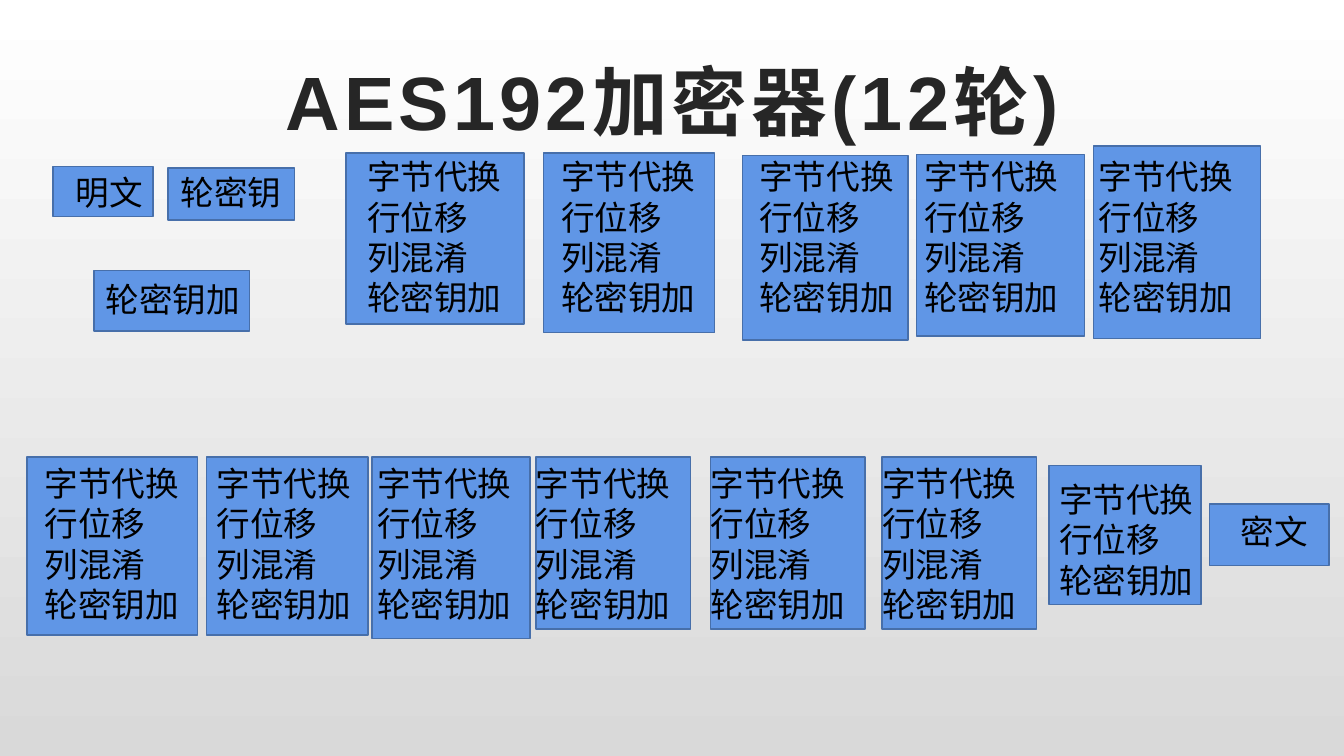
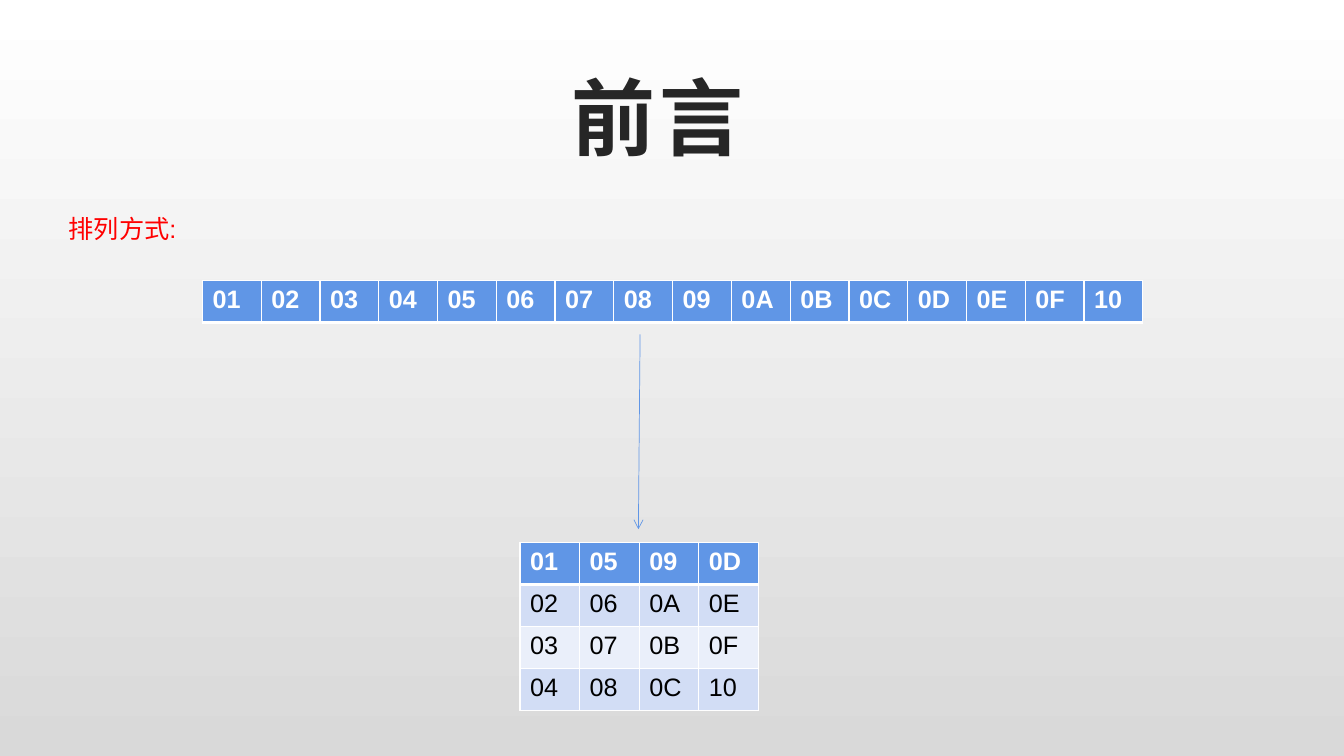
"""Build two slides on AES: the twelve rounds of AES192 and the byte order of a block."""
from dataclasses import dataclass

from lxml.etree import SubElement as Sub
from pptx import Presentation
from pptx.dml.color import RGBColor as Rgb
from pptx.enum.shapes import MSO_CONNECTOR as Link, MSO_SHAPE as Form
from pptx.enum.text import MSO_ANCHOR as Anchor, PP_ALIGN as Align
from pptx.oxml.ns import qn
from pptx.util import Inches, Pt


@dataclass(frozen=True)
class Theme:
    font: str = "Arial"
    top: str = "FFFFFF"
    base: str = "D9D9D9"
    title: str = "262626"
    ink: str = "000000"
    note: str = "FF0000"
    blue: str = "6096E6"
    edge: str = "476FAA"
    white: str = "FFFFFF"
    bands: tuple = ("EAEFFA", "D2DDF5")
    step: int = 24
    small: int = 18


look = Theme()
deck = Presentation()
deck.slide_width, deck.slide_height = Inches(13.333), Inches(7.5)
unit = deck.slide_height / 90


def span(*sizes):
    return [round(size * unit) for size in sizes]


def write(para, text, size, tint, bold=False):
    run = para.add_run()
    run.text = text
    font = run.font
    font.name, font.size, font.bold = look.font, Pt(size), bold
    font.color.rgb = Rgb.from_string(tint)
    return run


heads = [
    ("AES192加密器(12轮)", 54, (15.7, 4.9, 128.6, 13)),
    ("前言", 60, (10.3, 4.8, 136, 15.6)),
]
slides = []
for text, size, area in heads:
    slide = deck.slides.add_slide(deck.slide_layouts[6])
    fill = slide.background.fill
    fill.gradient()
    fill.gradient_angle = 270
    for stop, tint in zip(fill.gradient_stops, (look.top, look.base)):
        stop.color.rgb = Rgb.from_string(tint)
    frame = slide.shapes.add_textbox(*span(*area)).text_frame
    frame.word_wrap = True
    frame.vertical_anchor = Anchor.BOTTOM
    para = frame.paragraphs[0]
    para.alignment = Align.CENTER
    run = write(para, text, size, look.title, True)
    run._r.get_or_add_rPr().set("spc", "300")
    slides.append(slide)
rounds, order = slides

full = ("字节代换", "行位移", "列混淆", "轮密钥加")
last = ("字节代换", "行位移", "轮密钥加")
upper = [
    (41.2, 18.2, 21.2, 20.4, 43.7),
    (64.7, 18.2, 20.4, 21.4, 66.8),
    (88.4, 18.5, 19.7, 22, 90.4),
    (109.1, 18.4, 20, 21.6, 110),
    (130.2, 17.4, 19.9, 22.9, 130.8),
]
lower = [
    (3.2, 20.3, 21.2, 5.3),
    (24.6, 19.2, 21.2, 25.8),
    (44.3, 18.8, 21.6, 44.9),
    (63.8, 18.4, 20.5, 63.8),
    (84.6, 18.4, 20.5, 84.6),
    (105, 18.4, 20.5, 105),
]
boxes = [
    (6.3, 19.8, 11.9, 6, 9, 20.5, ("明文",)),
    (20, 20, 15.1, 6.2, 21.5, 20.5, ("轮密钥",)),
    (11.2, 32.2, 18.5, 7.2, 12.6, 33.2, ("轮密钥加",)),
    (124.9, 55.4, 18.1, 16.6, 126.1, 57, last),
    (144, 60, 14.2, 7.3, 147.7, 60.8, ("密文",)),
]
boxes += [(*box, 18.6, full) for box in upper]
boxes += [(x, 54.4, w, h, left, 55.1, full) for x, w, h, left in lower]

for x, y, w, h, left, top, lines in boxes:
    box = rounds.shapes.add_shape(Form.RECTANGLE, *span(x, y, w, h))
    box.shadow.inherit = False
    box.fill.solid()
    box.fill.fore_color.rgb = Rgb.from_string(look.blue)
    box.line.color.rgb = Rgb.from_string(look.edge)
    box.line.width = Pt(1)
    frame = box.text_frame
    frame.word_wrap = True
    frame.vertical_anchor = Anchor.TOP
    frame.margin_left, frame.margin_top = span(left - x, top - y)
    frame.margin_right = frame.margin_bottom = 0
    for i, line in enumerate(lines):
        para = frame.add_paragraph() if i else frame.paragraphs[0]
        para.alignment = Align.LEFT
        write(para, line, look.step, look.ink)

label = order.shapes.add_textbox(*span(7, 24.8, 53.3, 4.8)).text_frame
label.word_wrap = True
write(label.paragraphs[0], "排列方式:", look.small, look.note)

codes = [f"{n:02X}" for n in range(1, 17)]
state = [codes[i::4] for i in range(4)]
for rows, x, y, wide in (([codes], 24.1, 33.4, 7), (state, 61.9, 64.6, 7.1)):
    deep, many = len(rows), len(rows[0])
    area = span(x, y, wide * many, 5 * deep)
    table = order.shapes.add_table(deep, many, *area).table
    table.horz_banding = False
    for col in table.columns:
        col.width, = span(wide)
    for r, row in enumerate(rows):
        table.rows[r].height, = span(5)
        for c, code in enumerate(row):
            cell = table.cell(r, c)
            props = cell._tc.get_or_add_tcPr()
            for side in "LRTB":
                thick = 3 if (r, side) in ((0, "B"), (1, "T")) else 1
                line = Sub(props, qn(f"a:ln{side}"), w=str(Pt(thick)))
                Sub(Sub(line, qn("a:solidFill")), qn("a:srgbClr"), val=look.white)
            cell.fill.solid()
            tint = look.bands[r % 2] if r else look.blue
            cell.fill.fore_color.rgb = Rgb.from_string(tint)
            ink = look.ink if r else look.white
            write(cell.text_frame.paragraphs[0], code, look.small, ink, r == 0)

arrow = order.shapes.add_connector(Link.STRAIGHT, *span(76.2, 39.8, 76, 63))
arrow.line.color.rgb = Rgb.from_string(look.blue)
arrow.line.width = Pt(0.5)
Sub(arrow.line._get_or_add_ln(), qn("a:tailEnd"), type="arrow")
Sub(arrow._element.spPr, qn("a:effectLst"))

deck.save("out.pptx")
